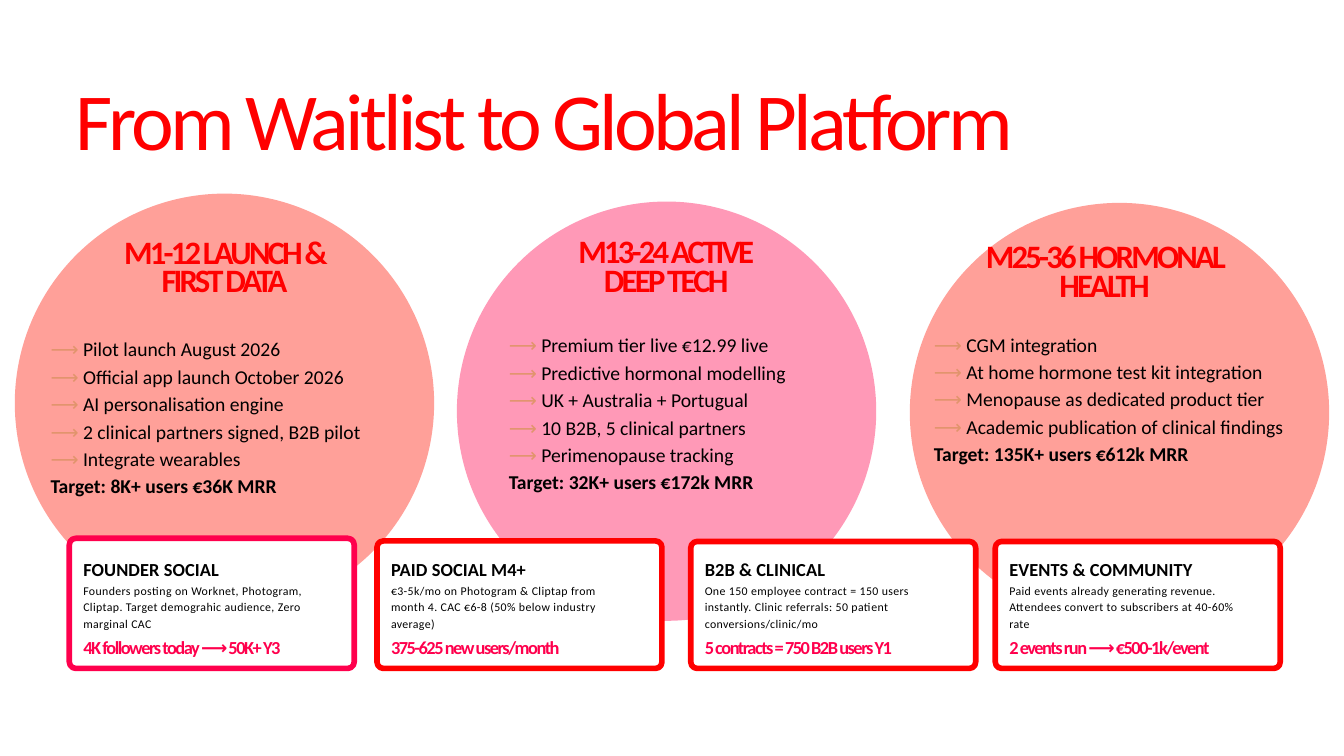
from dataclasses import dataclass

from lxml.etree import SubElement
from pptx import Presentation
from pptx.dml.color import RGBColor
from pptx.enum.shapes import MSO_SHAPE as Preset
from pptx.enum.text import MSO_ANCHOR as Anchor, MSO_AUTO_SIZE as AutoSize, PP_ALIGN as Align
from pptx.oxml.ns import qn
from pptx.util import Cm, Pt

COLORS = {
    "red": "FF0000",
    "coral": "FF1300",
    "pink": "FF004D",
    "arrow": "E1946C",
    "black": "000000",
    "white": "FFFFFF",
}
FONT = "Calibri"
DIAMETER = 15.85
CARD_WIDTH, CARD_BOTTOM, CARD_INSET = 10.77, 25.27, 0.53


@dataclass
class Style:
    size: float
    leading: float
    color: str = "black"
    bold: bool = False
    tracking: float = 0
    align: Align = Align.LEFT


TITLE = Style(86.7, 77.2, "red", tracking=-4.2)
HEADING = Style(35, 30.8, "red", True, -3, Align.CENTER)
MILESTONE = Style(21, 29.4)
TARGET = Style(21, 29.4, bold=True)
CHANNEL = Style(19.7, 27.5, bold=True, tracking=0.1)
DETAIL = Style(12.7, 17.7, tracking=0.4)
RESULT = Style(19.7, 27.5, "pink", True, -1.6)

PHASES = [
    (0.56, 7.32, "coral", (3.43, 1.83, 8.99), ["M1-12 LAUNCH & FIRST DATA"], (1.35, 5.28, 13.16),
     ["Pilot launch August 2026", "Official app launch October 2026", "AI personalisation engine",
      "2 clinical partners signed, B2B pilot", "Integrate wearables"],
     "Target: 8K+ users €36K MRR"),
    (17.27, 7.62, "pink", (3.07, 1.52, 9.68), ["M13-24 ACTIVE", "DEEP TECH"], (1.96, 4.83, 12.95),
     ["Premium tier live €12.99 live", "Predictive hormonal modelling", "UK + Australia + Portugual",
      "10 B2B, 5 clinical partners", "Perimenopause tracking"],
     "Target: 32K+ users €172k MRR"),
    (34.39, 7.67, "coral", (2.13, 1.65, 10.46), ["M25-36 HORMONAL HEALTH"], (0.91, 4.75, 14),
     ["CGM integration", "At home hormone test kit integration",
      "Menopause as dedicated product tier", "Academic publication of clinical findings"],
     "Target: 135K+ users €612k MRR"),
]

CARDS = [
    (2.62, 20.35, "pink", 9.58, "FOUNDER SOCIAL",
     "Founders posting on Worknet, Photogram, Cliptap. Target demograhic audience, Zero marginal CAC",
     "4K followers today ⟶ 50K+ Y3"),
    (14.25, 20.45, "red", 9.02, "PAID SOCIAL M4+",
     "€3-5k/mo on Photogram & Cliptap from month 4. CAC €6-8 (50% below industry average)",
     "375-625 new users/month"),
    (26.11, 20.47, "red", 9.55, "B2B & CLINICAL",
     "One 150 employee contract = 150 users instantly. Clinic referrals: 50 patient conversions/clinic/mo",
     "5 contracts = 750 B2B users Y1"),
    (37.62, 20.47, "red", 9.17, "EVENTS & COMMUNITY",
     "Paid events already generating revenue. Attendees convert to subscribers at 40-60% rate",
     "2 events run ⟶ €500-1k/event"),
]


def rgb(name):
    return RGBColor.from_string(COLORS[name])


def place(shape, left, top, width, height):
    shape.left, shape.top, shape.width, shape.height = (Cm(v) for v in (left, top, width, height))


def prepare(frame):
    frame.word_wrap = True
    frame.auto_size = AutoSize.NONE
    frame.vertical_anchor = Anchor.TOP
    frame.margin_left = frame.margin_top = frame.margin_right = frame.margin_bottom = 0


def format_paragraph(paragraph, style):
    paragraph.alignment = style.align
    paragraph.line_spacing = Pt(style.leading)
    paragraph.space_before = paragraph.space_after = Pt(0)
    properties = paragraph._p.get_or_add_pPr()
    properties.set("marL", "0")
    properties.set("indent", "0")
    SubElement(properties, qn("a:buNone"))
    font = paragraph.font
    font.name, font.size, font.bold = FONT, Pt(style.size), style.bold
    font.color.rgb = rgb(style.color)
    font._element.set("spc", str(round(style.tracking * 100)))


def write(frame, lines, style):
    prepare(frame)
    frame.text = "\n".join(lines)
    for paragraph in frame.paragraphs:
        format_paragraph(paragraph, style)


def add_text(slide, box, lines, style):
    text = slide.shapes.add_textbox(*(Cm(v) for v in box))
    write(text.text_frame, lines, style)


def add_panel(slide, preset, box, fill):
    panel = slide.shapes.add_shape(preset, *(Cm(v) for v in box))
    panel.shadow.inherit = False
    panel.fill.solid()
    panel.fill.fore_color.rgb = rgb(fill)
    return panel


def add_title(slide, box):
    title = slide.shapes.title
    place(title, *box)
    write(title.text_frame, ["From Waitlist to Global Platform"], TITLE)


def fill_milestones(frame, milestones, target):
    prepare(frame)
    for index, milestone in enumerate(milestones):
        paragraph = frame.paragraphs[0] if index == 0 else frame.add_paragraph()
        format_paragraph(paragraph, MILESTONE)
        arrow = paragraph.add_run()
        arrow.text = "⟶"
        arrow.font.color.rgb = rgb("arrow")
        paragraph.add_run().text = " " + milestone
    goal = frame.add_paragraph()
    goal.text = target
    format_paragraph(goal, TARGET)


def add_phase(slide, body, phase):
    left, top, color, heading_box, heading, list_box, milestones, target = phase
    circle = add_panel(slide, Preset.OVAL, (left, top, DIAMETER, DIAMETER), color)
    circle.line.fill.background()
    tint = circle.fill._xPr.find(".//" + qn("a:srgbClr"))
    SubElement(tint, qn("a:alpha"), val="40000")

    x, y, width = heading_box
    add_text(slide, (left + x, top + y, width, 2.29), heading, HEADING)

    x, y, width = list_box
    place(body, left + x, top + y, width, 6.17)
    fill_milestones(body.text_frame, milestones, target)
    slide.shapes._spTree.append(body._element)


def add_card(slide, card):
    left, top, color, detail_width, channel, detail, result = card
    height = CARD_BOTTOM - top
    frame = add_panel(slide, Preset.ROUNDED_RECTANGLE, (left, top, CARD_WIDTH, height), "white")
    frame.adjustments[0] = 0.05
    frame.line.color.rgb = rgb(color)
    frame.line.width = Pt(6)

    x = left + CARD_INSET
    rows = [
        (4.29, 8.76, 0.89, channel, CHANNEL),
        (3.3, detail_width, 1.8, detail, DETAIL),
        (1.35, 9.58, 0.89, result, RESULT),
    ]
    for rise, width, row_height, text, style in rows:
        add_text(slide, (x, CARD_BOTTOM - rise, width, row_height), [text], style)


def main():
    deck = Presentation()
    deck.slide_width, deck.slide_height = Cm(50.8), Cm(28.58)
    slide = deck.slides.add_slide(deck.slide_layouts.get_by_name("Comparison"))
    add_title(slide, (2.84, 3.56, 42.57, 2.95))
    *bodies, spare = list(slide.placeholders)[1:5]
    spare._element.getparent().remove(spare._element)
    for body, phase in zip(bodies, PHASES):
        add_phase(slide, body, phase)
    for card in CARDS:
        add_card(slide, card)
    deck.save("out.pptx")


if __name__ == "__main__":
    main()
